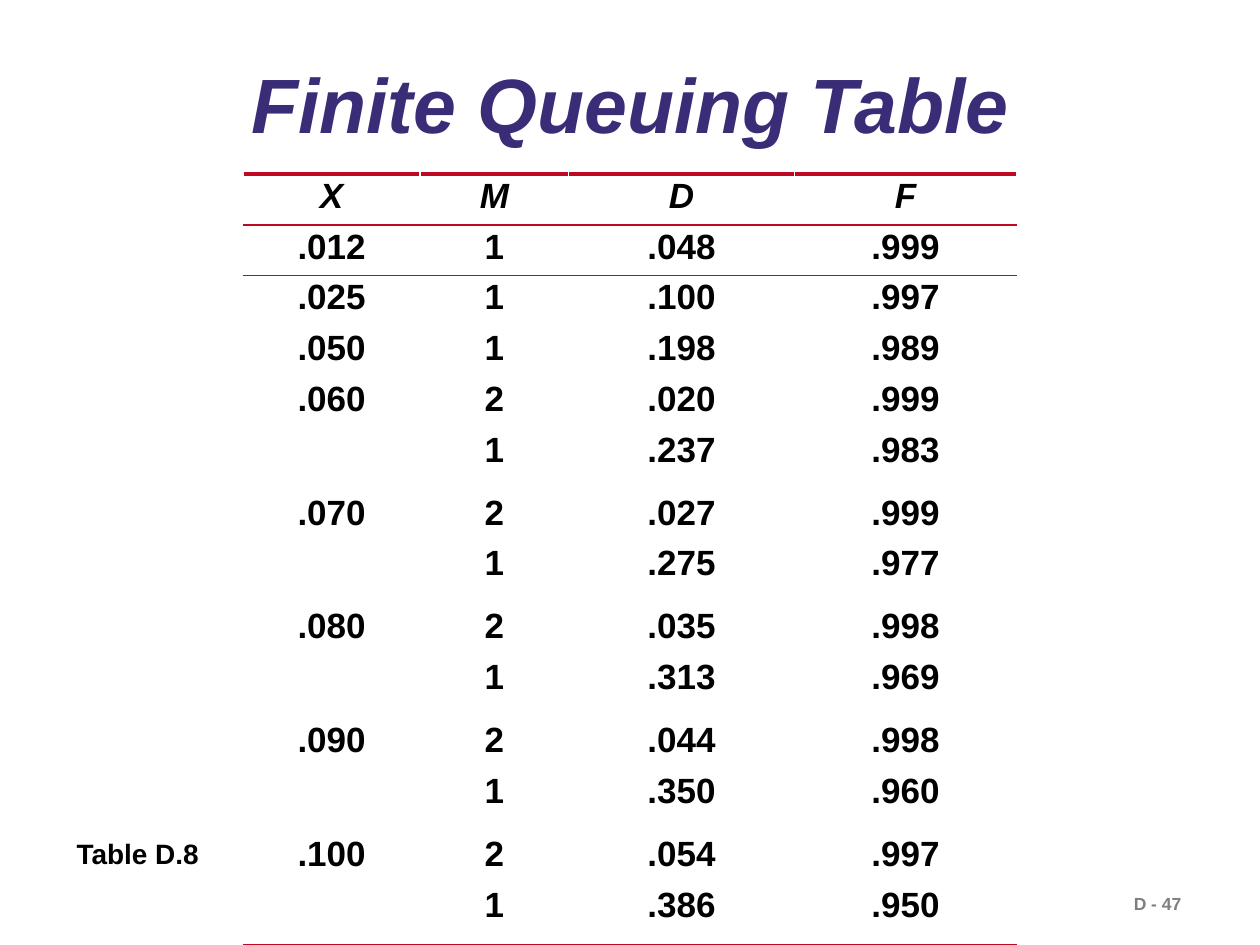
"""Build the finite queuing table slide."""
from dataclasses import dataclass

from lxml import etree
from pptx import Presentation
from pptx import util as u
from pptx.dml import color
from pptx.enum import text
from pptx.oxml import ns


@dataclass(frozen=True)
class Theme:
    font: str = "Arial"
    purple: str = "3A2C76"
    red: str = "BF0922"
    black: str = "000000"
    gray: str = "7F7F7F"
    title_size: int = 44
    table_size: int = 20
    label_size: int = 16
    number_size: int = 10


theme = Theme()


def style_paragraph(paragraph, size, ink, italic=False):
    font = paragraph.font
    font.name, font.size = theme.font, u.Pt(size)
    font.bold, font.italic = True, italic
    font.color.rgb = color.RGBColor.from_string(ink)


def add_rule(cell, side, width):
    properties = cell._tc.get_or_add_tcPr()
    line = etree.SubElement(properties, ns.qn(f"a:{side}"), w=str(u.Pt(width)))
    fill = etree.SubElement(line, ns.qn("a:solidFill"))
    etree.SubElement(fill, ns.qn("a:srgbClr"), val=theme.red)


presentation = Presentation()
presentation.slide_width, presentation.slide_height = u.Pt(720), u.Pt(540)
slide = presentation.slides.add_slide(presentation.slide_layouts[6])

labels = [
    ("D - 47", (640.8, 506.9, 78.5, 19.4), theme.number_size, theme.gray),
    ("Finite Queuing Table", (41.8, 24.5, 637.2, 74.9), theme.title_size, theme.purple),
    ("Table D.8", (36.7, 474.5, 85, 26.6), theme.label_size, theme.black),
]
for words, box, size, ink in labels:
    is_title = size == theme.title_size
    frame = slide.shapes.add_textbox(*map(u.Pt, box)).text_frame
    frame.word_wrap = is_title
    paragraph = frame.paragraphs[0]
    paragraph.text = words
    if is_title:
        frame.vertical_anchor = text.MSO_ANCHOR.MIDDLE
        paragraph.alignment = text.PP_ALIGN.CENTER
        paragraph.line_spacing = 0.9
    style_paragraph(paragraph, size, ink, italic=is_title)

rows = [
    ("X", "M", "D", "F"),
    (".012", "1", ".048", ".999"),
    (".025", "1", ".100", ".997"),
    (".050", "1", ".198", ".989"),
    (".060", "2", ".020", ".999"),
    ("", "1", ".237", ".983"),
    (".070", "2", ".027", ".999"),
    ("", "1", ".275", ".977"),
    (".080", "2", ".035", ".998"),
    ("", "1", ".313", ".969"),
    (".090", "2", ".044", ".998"),
    ("", "1", ".350", ".960"),
    (".100", "2", ".054", ".997"),
    ("", "1", ".386", ".950"),
]
column_widths = [101, 85, 129, 127]
row_heights = [29 if row[0] else 36 for row in rows]
thick, thin = 2.21, 1.08
rules = {
    0: [("lnT", thick), ("lnB", thin)],
    1: [("lnT", thin)],
    len(rows) - 1: [("lnB", thick)],
}

table_box = (139, 99.4, sum(column_widths), sum(row_heights))
table = slide.shapes.add_table(len(rows), len(column_widths), *map(u.Pt, table_box)).table
table.first_row = table.horz_banding = False
for column, width in zip(table.columns, column_widths):
    column.width = u.Pt(width)
for row_index, row in enumerate(rows):
    table.rows[row_index].height = u.Pt(row_heights[row_index])
    for column_index, value in enumerate(row):
        cell = table.cell(row_index, column_index)
        for side, width in rules.get(row_index, []):
            add_rule(cell, side, width)
        cell.fill.background()
        paragraph = cell.text_frame.paragraphs[0]
        paragraph.text = value
        paragraph.alignment = text.PP_ALIGN.CENTER
        paragraph.line_spacing = 0.9
        paragraph.space_after = u.Pt(10)
        style_paragraph(paragraph, theme.table_size, theme.black, italic=row_index == 0)

presentation.save("out.pptx")
